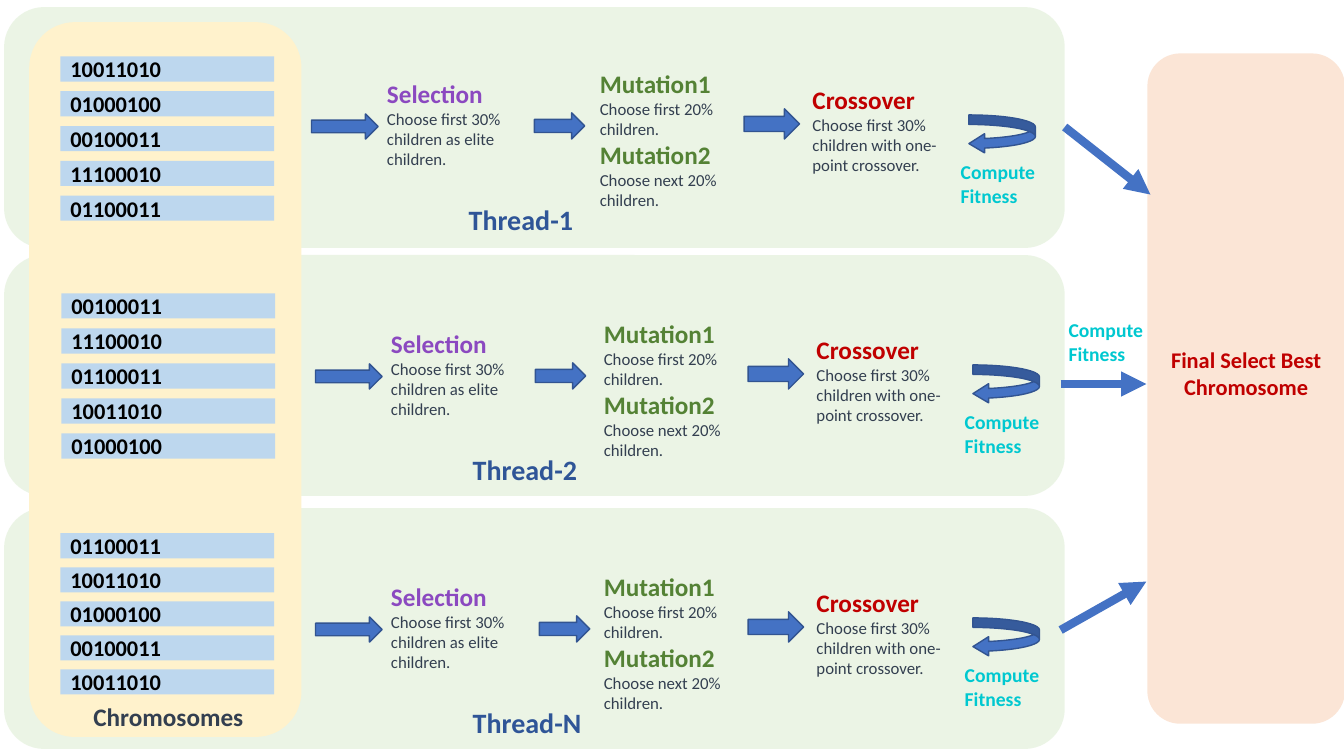
import pptx
import pptx.dml.color
import pptx.enum.shapes
import pptx.enum.text
import pptx.oxml
import pptx.oxml.ns
import pptx.util

Inches = pptx.util.Inches
Pt = pptx.util.Pt
RGBColor = pptx.dml.color.RGBColor
SHAPE = pptx.enum.shapes.MSO_SHAPE
ALIGN = pptx.enum.text.PP_ALIGN

GREEN_PANEL = RGBColor(0xE2, 0xF0, 0xD9)
YELLOW_PANEL = RGBColor(0xFF, 0xF2, 0xCC)
PEACH_PANEL = RGBColor(0xFB, 0xE5, 0xD6)
CHIP_BLUE = RGBColor(0xBD, 0xD7, 0xEE)
ARROW_BLUE = RGBColor(0x44, 0x72, 0xC4)
ARROW_EDGE = RGBColor(0x32, 0x54, 0x91)
THREAD_BLUE = RGBColor(0x2F, 0x55, 0x97)
SLATE = RGBColor(0x33, 0x3F, 0x50)
PURPLE = RGBColor(0x8B, 0x49, 0xC0)
GREEN = RGBColor(0x54, 0x82, 0x35)
RED = RGBColor(0xC0, 0x00, 0x00)
CYAN = RGBColor(0x00, 0xC8, 0xD0)
BLACK = RGBColor(0x00, 0x00, 0x00)


class Diagram:
    """Holds the font and the current slide, and draws each kind of element."""

    def __init__(self, slide, font="Calibri"):
        self.slide = slide
        self.font = font

    def set_lines(self, frame, lines, align=ALIGN.LEFT):
        """Each line is (text, size, colour, bold)."""
        frame.word_wrap = True
        frame.text = "\n".join(line[0] for line in lines)
        for para, (_, size, colour, bold) in zip(frame.paragraphs, lines):
            para.alignment = align
            for span in para.runs:
                span.font.name = self.font
                span.font.size = Pt(size)
                span.font.color.rgb = colour
                span.font.bold = bold

    def text(self, left, top, width, height, lines, align=ALIGN.LEFT):
        box = self.slide.shapes.add_textbox(
            Inches(left), Inches(top), Inches(width), Inches(height))
        self.set_lines(box.text_frame, lines, align)
        box.text_frame.auto_size = pptx.enum.text.MSO_AUTO_SIZE.SHAPE_TO_FIT_TEXT

    def shape(self, kind, left, top, width, height, fill, edge=None):
        shape = self.slide.shapes.add_shape(
            kind, Inches(left), Inches(top), Inches(width), Inches(height))
        shape.shadow.inherit = False
        shape.fill.solid()
        shape.fill.fore_color.rgb = fill
        if edge is None:
            shape.line.fill.background()
        else:
            shape.line.color.rgb = edge
            shape.line.width = Pt(1)
        return shape

    def panel(self, left, top, width, height, fill, opacity=100):
        panel = self.shape(SHAPE.ROUNDED_RECTANGLE, left, top, width, height, fill)
        if opacity < 100:
            colour = panel._element.spPr.find(".//" + pptx.oxml.ns.qn("a:srgbClr"))
            alpha = pptx.oxml.parse_xml(
                f'<a:alpha {pptx.oxml.ns.nsdecls("a")} val="{opacity * 1000}"/>')
            colour.append(alpha)
        return panel

    def chip(self, left, top, bits):
        chip = self.shape(SHAPE.RECTANGLE, left, top, 2.12, 0.25, CHIP_BLUE)
        self.set_lines(chip.text_frame, [(bits, 16, BLACK, True)], ALIGN.JUSTIFY)
        chip.text_frame.vertical_anchor = pptx.enum.text.MSO_ANCHOR.MIDDLE

    def block_arrow(self, left, top, width, height, kind=SHAPE.RIGHT_ARROW):
        return self.shape(kind, left, top, width, height, ARROW_BLUE, ARROW_EDGE)

    def connector(self, x1, y1, x2, y2):
        connector = self.slide.shapes.add_connector(
            pptx.enum.shapes.MSO_CONNECTOR.STRAIGHT,
            Inches(x1), Inches(y1), Inches(x2), Inches(y2))
        connector.line.color.rgb = ARROW_BLUE
        connector.line.width = Pt(6)
        namespace = pptx.oxml.ns.nsdecls("a")
        properties = connector._element.spPr
        properties.find(pptx.oxml.ns.qn("a:ln")).append(
            pptx.oxml.parse_xml(f'<a:tailEnd {namespace} type="triangle"/>'))
        properties.append(pptx.oxml.parse_xml(f"<a:effectLst {namespace}/>"))


def step(title, colour, detail):
    return [(title, 18, colour, True), (detail, 12, SLATE, False)]


SELECTION = step("Selection", PURPLE, "Choose first 30% children as elite children.")
MUTATION = (step("Mutation1", GREEN, "Choose first 20% children.")
            + step("Mutation2", GREEN, "Choose next 20% children."))
CROSSOVER = step("Crossover", RED, "Choose first 30% children with one-point crossover.")
FITNESS = [("Compute", 14, CYAN, True), ("Fitness", 14, CYAN, True)]

# Name, panel top, shift of the steps (x, y), left of the mutation arrow
THREADS = [
    ("Thread-1", 0.07, 0, 0, 5.30),
    ("Thread-2", 2.53, 0.04, 2.48, 5.31),
    ("Thread-N", 5.04, 0.04, 4.99, 5.35),
]

# Left, first top, last top, bit strings
POPULATIONS = [
    (0.60, 0.56, 1.94, "10011010 01000100 00100011 11100010 01100011"),
    (0.61, 2.91, 4.30, "00100011 11100010 01100011 10011010 01000100"),
    (0.60, 5.29, 6.64, "01100011 10011010 01000100 00100011 10011010"),
]

deck = pptx.Presentation()
deck.slide_width = Inches(13.33)
deck.slide_height = Inches(7.5)
diagram = Diagram(deck.slides.add_slide(deck.slide_layouts[6]))

# Final selection
final = diagram.panel(11.38, 0.53, 1.96, 6.65, PEACH_PANEL)
diagram.set_lines(final.text_frame,
                  [("Final Select Best Chromosome", 16, RED, True)], ALIGN.CENTER)
final.text_frame.vertical_anchor = pptx.enum.text.MSO_ANCHOR.MIDDLE
final.text_frame.margin_bottom = Inches(0.35)

# Threads with their steps
for name, panel_top, dx, dy, mutation_arrow in THREADS:
    diagram.panel(0.04, panel_top, 10.52, 2.39, GREEN_PANEL, opacity=68)
    diagram.block_arrow(3.09 + dx, 1.13 + dy, 0.66, 0.25)
    diagram.text(3.74 + dx, 0.73 + dy, 1.57, 1.01, SELECTION)
    diagram.block_arrow(mutation_arrow, 1.12 + dy, 0.5, 0.26)
    diagram.text(5.85 + dx, 0.63 + dy, 1.69, 1.51, MUTATION)
    diagram.block_arrow(7.38 + dx, 1.08 + dy, 0.55, 0.3)
    diagram.text(7.96 + dx, 0.79 + dy, 1.57, 1.01, CROSSOVER)
    loop = diagram.block_arrow(9.61 + dx, 1.14 + dy, 0.66, 0.38,
                               SHAPE.CURVED_LEFT_ARROW)
    loop.adjustments[2] = 0.41
    diagram.text(9.43 + dx, 1.54 + dy, 1.06, 0.57, FITNESS)
    diagram.text(4.55 + dx, 1.96 + dy, 1.51, 0.44, [(name, 20, THREAD_BLUE, True)])

# Chromosomes
diagram.panel(0.29, 0.22, 2.7, 7.09, YELLOW_PANEL)
for left, first_top, last_top, population in POPULATIONS:
    chromosomes = population.split()
    pitch = (last_top - first_top) / (len(chromosomes) - 1)
    for index, bits in enumerate(chromosomes):
        diagram.chip(left, first_top + index * pitch, bits)
diagram.text(0.76, 6.91, 1.82, 0.4, [("Chromosomes", 18, SLATE, True)], ALIGN.CENTER)

# Arrows into the final selection
for ends in [(10.56, 1.26, 11.41, 1.93),
             (10.52, 3.81, 11.37, 3.81),
             (10.52, 6.25, 11.37, 5.77)]:
    diagram.connector(*ends)
diagram.text(10.5, 3.11, 1.37, 0.57, [("Compute Fitness", 14, CYAN, True)])

deck.save("out.pptx")
